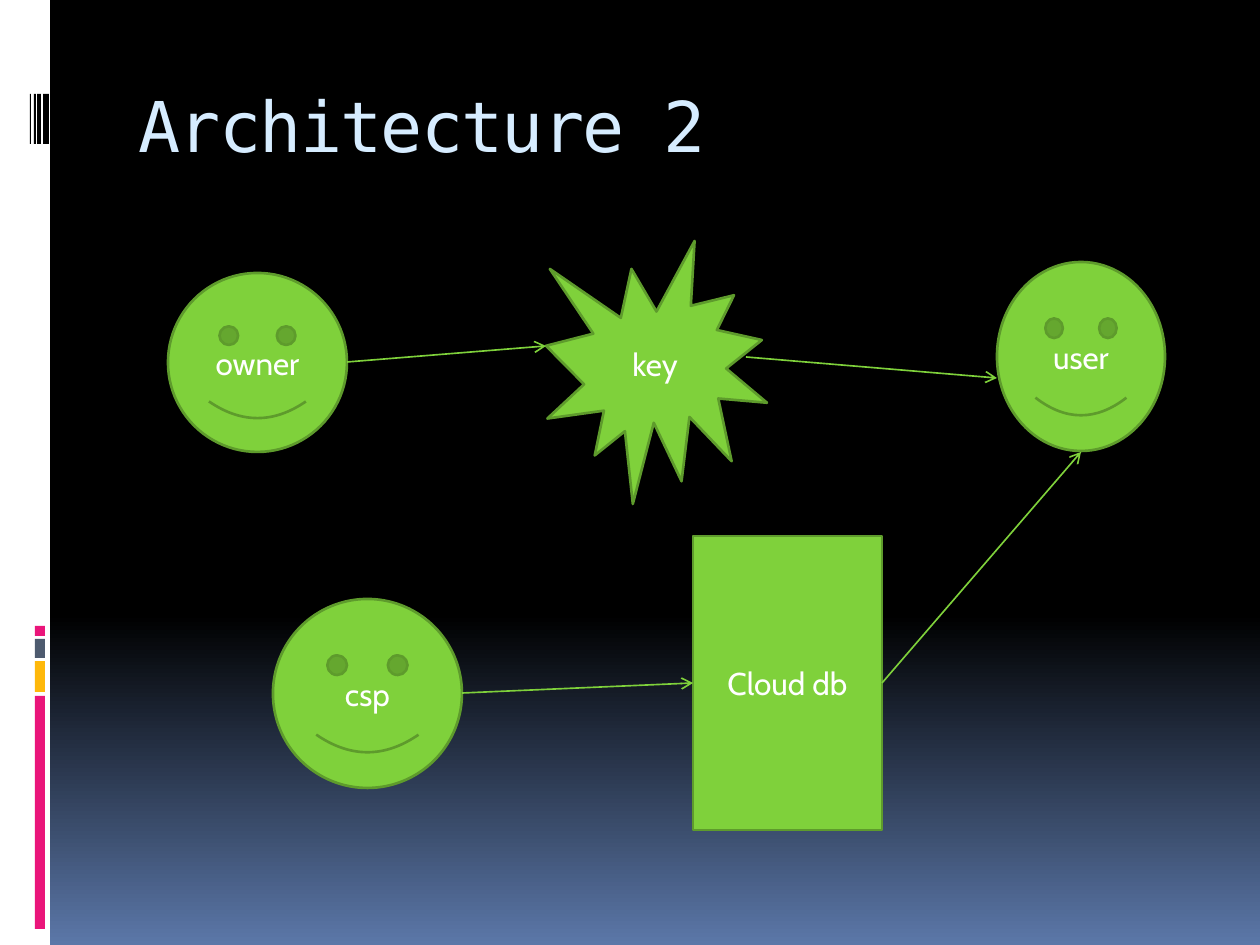
from pptx import Presentation
from pptx.dml.color import RGBColor
from pptx.enum.shapes import MSO_CONNECTOR, MSO_SHAPE
from pptx.enum.text import MSO_ANCHOR, PP_ALIGN
from pptx.oxml.ns import qn
from pptx.util import Pt
from lxml import etree

EMU_PER_PX = 914400 / 126
RECTANGLE = MSO_SHAPE.RECTANGLE
SMILEY = MSO_SHAPE.SMILEY_FACE
BURST = MSO_SHAPE.EXPLOSION1
STRAIGHT = MSO_CONNECTOR.STRAIGHT
TOP, MIDDLE = MSO_ANCHOR.TOP, MSO_ANCHOR.MIDDLE
LEFT, CENTER = PP_ALIGN.LEFT, PP_ALIGN.CENTER
TITLE_ONLY = 5


def px(*lengths):
    return [round(length * EMU_PER_PX) for length in lengths]


def color(value):
    return RGBColor.from_string(value)


class DiagramSlide:
    title_font, body_font = "DejaVu Sans Mono", "Cabin"
    green, outline = "7FD13B", "5E9B2C"
    white, black, title_color = "FFFFFF", "000000", "D6ECFF"

    def __init__(self, presentation):
        self.slide = presentation.slides.add_slide(presentation.slide_layouts[TITLE_ONLY])

    def background(self, start, end, start_position):
        fill = self.slide.background.fill
        fill.gradient()
        fill.gradient_angle = 270
        stops = zip(fill.gradient_stops, (start, end), (start_position, 1))
        for stop, value, position in stops:
            stop.color.rgb = color(value)
            stop.position = position

    def add_text(self, paragraph, text, font, size, value, align):
        paragraph.alignment = align
        run = paragraph.add_run()
        run.text = text
        run.font.name = font
        run.font.size = Pt(size)
        run.font.color.rgb = color(value)
        return run

    def title(self, text, left, top, width, height):
        shape = self.slide.shapes.title
        shape.left, shape.top, shape.width, shape.height = px(left, top, width, height)
        frame = shape.text_frame
        frame.vertical_anchor = TOP
        frame.margin_top = px(12)[0]
        run = self.add_text(frame.paragraphs[0], text, self.title_font, 40,
                            self.title_color, LEFT)
        run.font._element.set("spc", "-100")

    def block(self, kind, left, top, width, height, fill):
        shape = self.slide.shapes.add_shape(kind, *px(left, top, width, height))
        shape.shadow.inherit = False
        shape.fill.solid()
        shape.fill.fore_color.rgb = color(fill)
        shape.line.fill.background()
        return shape

    def node(self, kind, text, left, top, width, height):
        shape = self.block(kind, left, top, width, height, self.green)
        shape.line.color.rgb = color(self.outline)
        shape.line.width = Pt(1.5)
        frame = shape.text_frame
        frame.vertical_anchor = MIDDLE
        self.add_text(frame.paragraphs[0], text, self.body_font, 18, self.white, CENTER)

    def arrow(self, start, end):
        connector = self.slide.shapes.add_connector(STRAIGHT, *px(*start, *end))
        connector.line.color.rgb = color(self.green)
        connector.line.width = Pt(0.94)
        properties = connector._element.spPr
        etree.SubElement(properties.find(qn("a:ln")), qn("a:tailEnd"), type="arrow")
        etree.SubElement(properties, qn("a:effectLst"))


def main():
    presentation = Presentation()
    presentation.slide_width, presentation.slide_height = px(1260, 945)
    diagram = DiagramSlide(presentation)
    diagram.background(diagram.black, "5B77A8", 0.65)

    # Side strip with its colour blocks and barcode
    diagram.block(RECTANGLE, 0, 0, 50, 945, diagram.white)
    for top, height, fill in [(696, 233, "EA157A"), (661, 31, "FEB80A"),
                              (639, 19, "4E5B6F"), (626, 10, "EA157A")]:
        diagram.block(RECTANGLE, 35, top, 10, height, fill)
    for left, width in [(43, 6), (37, 4), (34, 2), (30, 1)]:
        diagram.block(RECTANGLE, left, 94, width, 50, diagram.black)

    diagram.title("Architecture 2", 126, 71, 1071, 126)

    # People, key and database
    for node in [(SMILEY, "owner", 168, 273, 179, 179),
                 (BURST, "key", 546, 241, 221, 263),
                 (SMILEY, "user", 997, 262, 168, 189),
                 (SMILEY, "csp", 273, 599, 189, 189),
                 (RECTANGLE, "Cloud db", 693, 536, 189, 294)]:
        diagram.node(*node)

    # Flows
    for start, end in [((347, 362), (546, 346)), ((746, 357), (997, 378)),
                       ((462, 693), (693, 683)), ((882, 683), (1081, 452))]:
        diagram.arrow(start, end)

    presentation.save("out.pptx")


if __name__ == "__main__":
    main()
